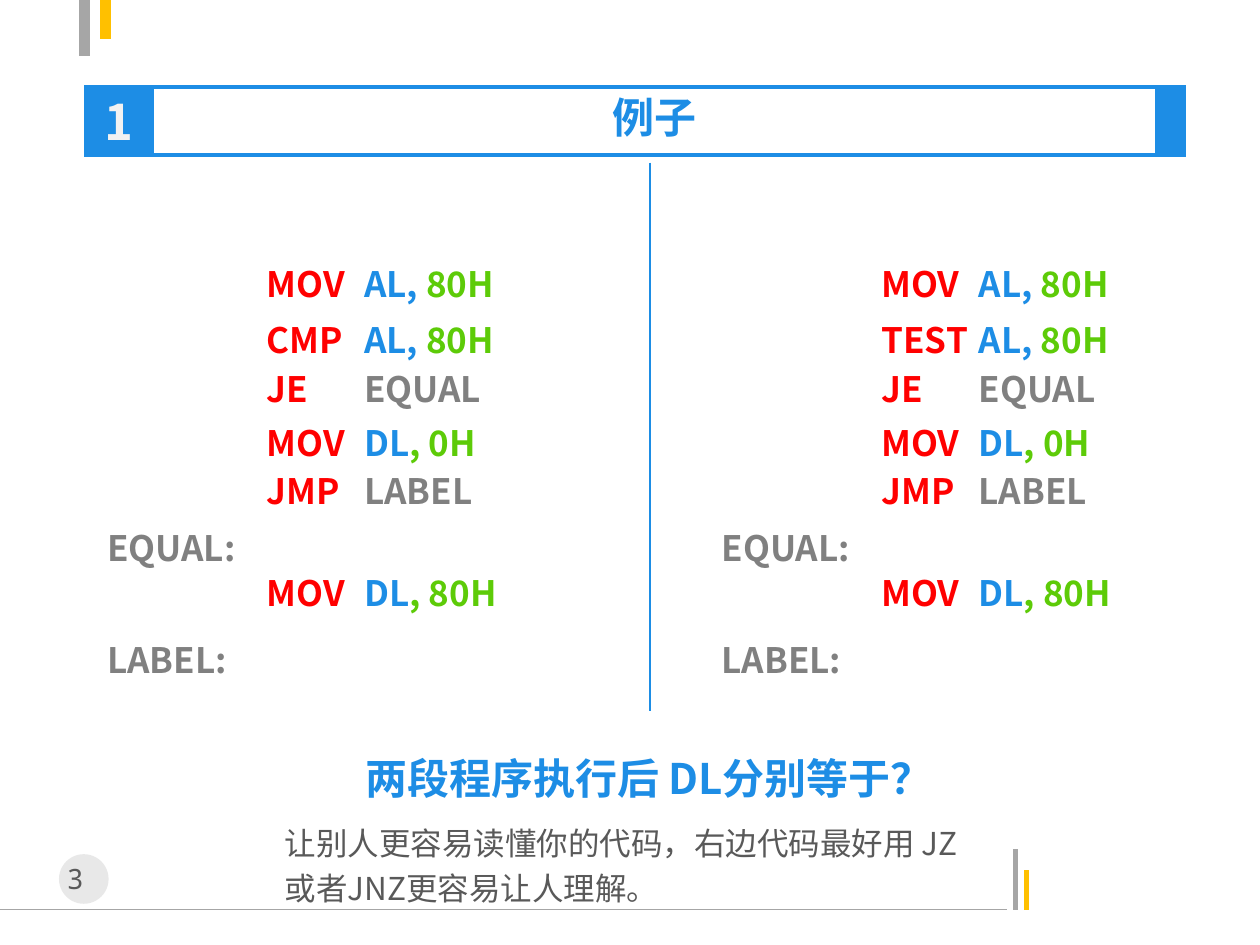
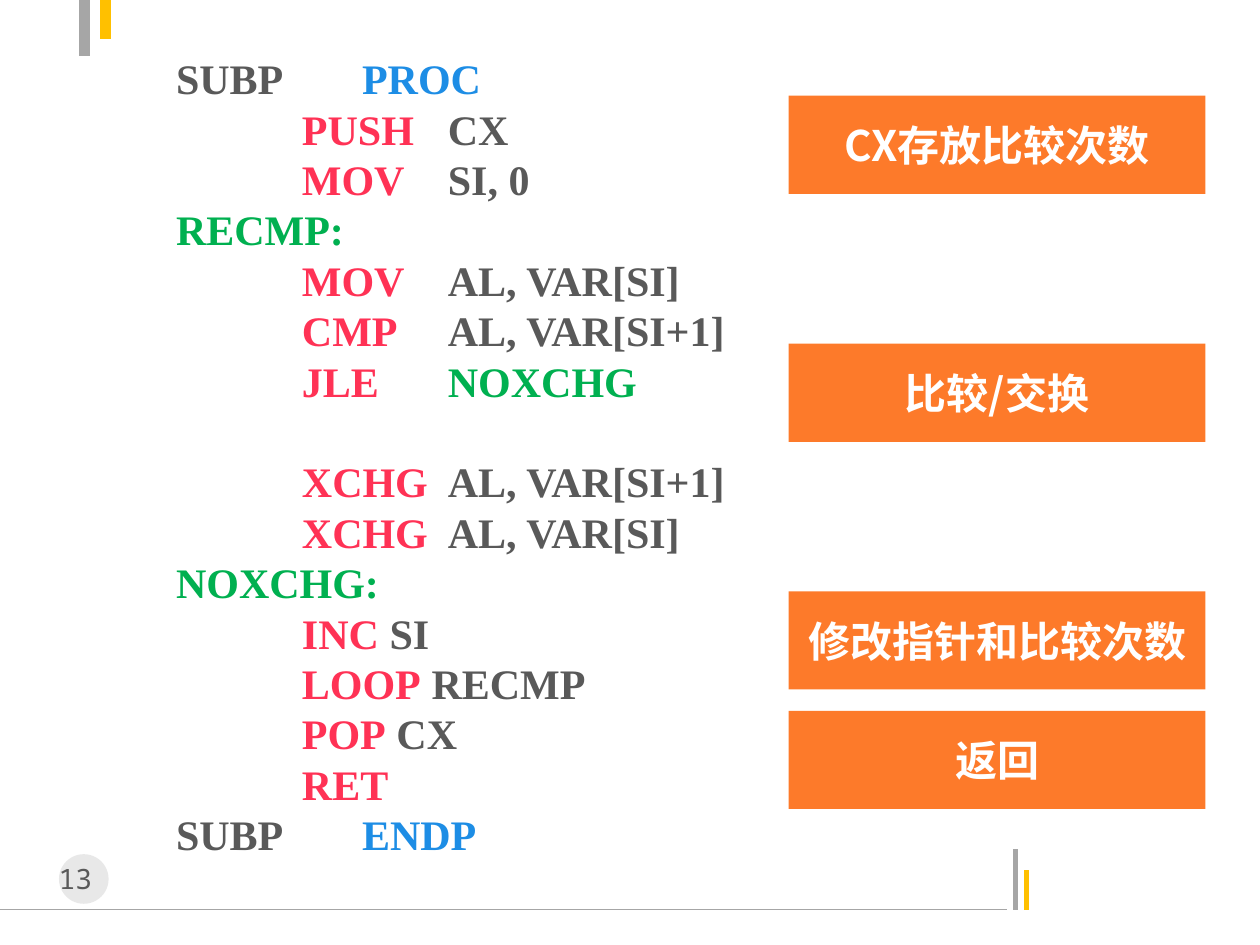
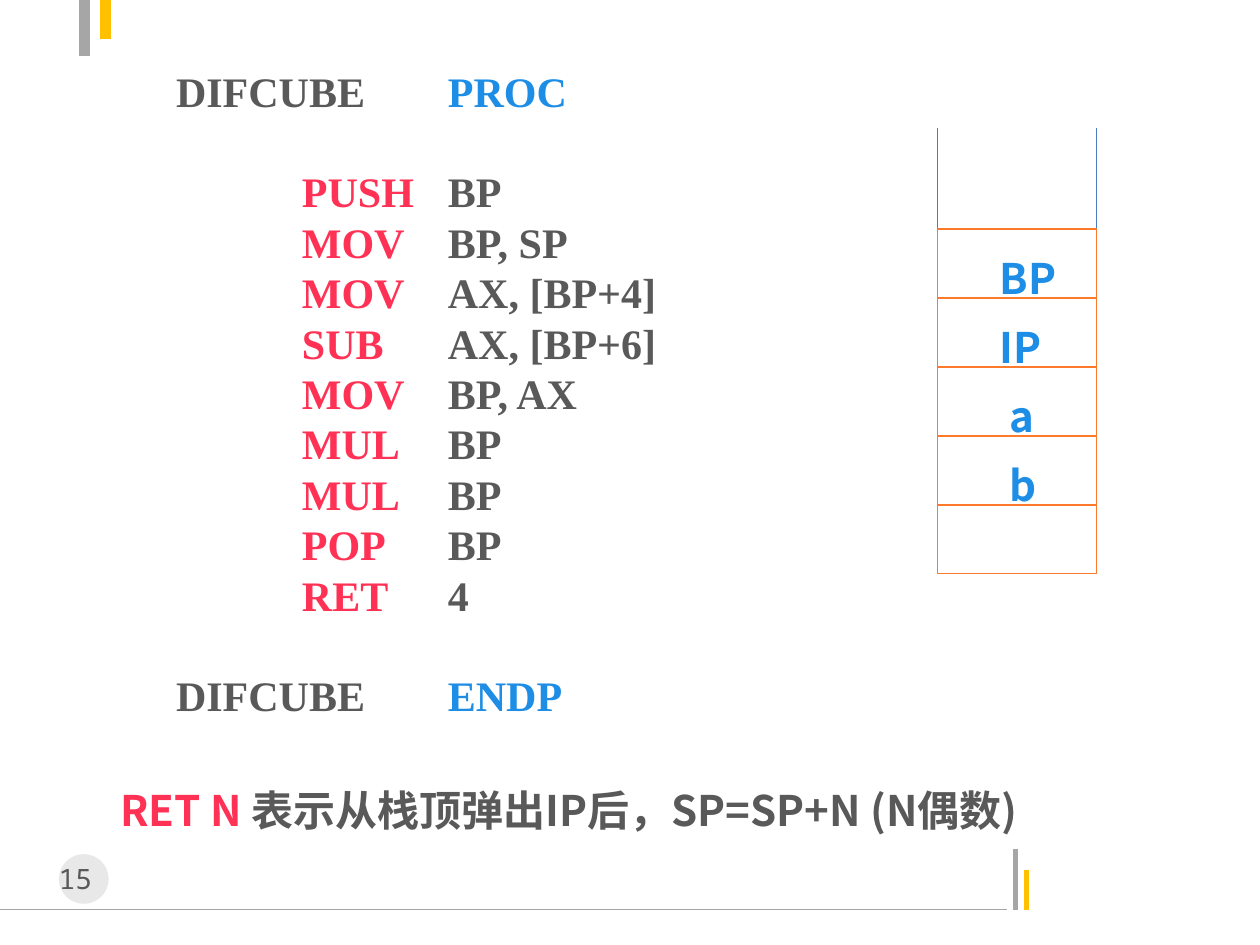
"""Build three assembly-language teaching slides."""
from dataclasses import dataclass

import pptx
import pptx.dml.color
import pptx.enum.shapes
import pptx.enum.text
import pptx.oxml.ns
import pptx.util
from lxml import etree

Cm = pptx.util.Cm
Pt = pptx.util.Pt
qn = pptx.oxml.ns.qn
Align = pptx.enum.text.PP_ALIGN
Anchor = pptx.enum.text.MSO_ANCHOR
Shape = pptx.enum.shapes.MSO_SHAPE


@dataclass(frozen=True)
class Theme:
    blue: str = "1D8DE5"
    orange: str = "FD7A2A"
    yellow: str = "FFC000"
    white: str = "FFFFFF"
    pale: str = "F2F2F2"
    disc: str = "BFBFBF"
    silver: str = "A6A6A6"
    gray: str = "808080"
    ink: str = "595959"
    red: str = "FF0000"
    crimson: str = "FF3255"
    lime: str = "5DCB08"
    green: str = "00B050"
    steel: str = "4B7EBC"
    sans: str = "Noto Sans CJK SC"
    mono: str = "Noto Sans Mono"
    serif: str = "Times New Roman"
    number: int = 28
    heading: int = 24
    listing: int = 20
    note: int = 18
    footer: int = 16
    code_pitch: float = 28.8


THEME = Theme()


def rgb(colour):
    return pptx.dml.color.RGBColor.from_string(colour)


class Slides:
    def __init__(self, theme):
        self.theme = theme
        self.deck = pptx.Presentation()
        self.deck.slide_width = Cm(25.4)
        self.deck.slide_height = Cm(19.05)
        self.page = None

    def new_page(self, number):
        theme = self.theme
        self.page = self.deck.slides.add_slide(self.deck.slide_layouts[6])
        self.line(0, 18.34, 20.3, 18.34, theme.silver, 0.75)
        self.line(20.47, 18.34, 20.47, 17.12, theme.silver, 3)
        self.line(20.7, 18.34, 20.7, 17.53, theme.yellow, 3)
        self.line(1.7, 0, 1.7, 1.12, theme.silver, 6)
        self.line(2.13, 0, 2.13, 0.79, theme.yellow, 6)
        disc = self.shape(1.19, 17.22, 1, 1, theme.disc, kind=Shape.OVAL)
        tint = disc.fill._xPr.find(qn("a:solidFill"))[0]
        etree.SubElement(tint, qn("a:alpha"), val="35000")
        self.text(0.62, 17.25, 1.8, 0.94, [(number, theme.ink)], theme.footer,
                  font=theme.mono, bold=False, align=Align.CENTER)

    def line(self, x1, y1, x2, y2, colour, width):
        rule = self.page.shapes.add_connector(
            pptx.enum.shapes.MSO_CONNECTOR.STRAIGHT, Cm(x1), Cm(y1), Cm(x2), Cm(y2))
        rule.line.color.rgb = rgb(colour)
        rule.line.width = Pt(width)
        etree.SubElement(rule._element.spPr, qn("a:effectLst"))

    def shape(self, left, top, width, height, fill, outline=None, kind=Shape.RECTANGLE):
        shape = self.page.shapes.add_shape(kind, Cm(left), Cm(top), Cm(width), Cm(height))
        shape.shadow.inherit = False
        shape.fill.solid()
        shape.fill.fore_color.rgb = rgb(fill)
        if outline:
            shape.line.color.rgb = rgb(outline)
            shape.line.width = Pt(0.75)
        else:
            shape.line.fill.background()
        return shape

    def label(self, shape, text, colour, size):
        shape.text_frame.word_wrap = True
        shape.text_frame.vertical_anchor = Anchor.MIDDLE
        self.set_para(shape.text_frame.paragraphs[0], [(text, colour)], size,
                      align=Align.CENTER)

    def frame(self, left, top, width, height, anchor=Anchor.TOP):
        box = self.page.shapes.add_textbox(Cm(left), Cm(top), Cm(width), Cm(height))
        box.text_frame.word_wrap = True
        box.text_frame.vertical_anchor = anchor
        return box.text_frame

    def text(self, left, top, width, height, spans, size, anchor=Anchor.TOP, **style):
        frame = self.frame(left, top, width, height, anchor)
        self.set_para(frame.paragraphs[0], spans, size, **style)

    def set_para(self, para, spans, size, font=THEME.sans, bold=True, align=Align.LEFT,
                 spacing=None, tabs=()):
        para.alignment = align
        para.line_spacing = spacing
        if tabs:
            stops = etree.SubElement(para._p.get_or_add_pPr(), qn("a:tabLst"))
            for stop in tabs:
                etree.SubElement(stops, qn("a:tab"), pos=str(Cm(stop)), algn="l")
        base = spans[0][1]
        para.font.name = font
        para.font.size = Pt(size)
        para.font.bold = bold
        para.font.color.rgb = rgb(base)
        etree.SubElement(para._p.pPr.find(qn("a:defRPr")), qn("a:ea"), typeface=font)
        for text, colour in spans:
            span = para.add_run()
            span.text = text
            if colour != base:
                span.font.color.rgb = rgb(colour)

    def code(self, top, height, groups):
        theme = self.theme
        frame = self.frame(3.3, top, 15.27, height)
        para = frame.paragraphs[0]
        for index, group in enumerate(groups):
            for row, spans in enumerate(group):
                if index or row:
                    para = frame.add_paragraph()
                self.set_para(para, spans, theme.heading, font=theme.serif,
                              spacing=Pt(theme.code_pitch), tabs=(3.75, 5.48))
                if index and not row:
                    para.space_before = Pt(theme.code_pitch)


def op(mnemonic, operand="", gap="\t", colour=THEME.ink):
    spans = [(" " * 12 + mnemonic, THEME.crimson)]
    return spans + [(gap + operand, colour)] if operand else spans


def bound(name, directive):
    return [(name + "\t", THEME.ink), (directive, THEME.blue)]


def target(name):
    return [(name, THEME.green)]


def comparison_page(slides):
    theme = slides.theme
    slides.new_page("3")
    slides.line(1.7, 3.12, 23.9, 3.12, theme.blue, 2.25)
    badge = slides.shape(1.7, 1.75, 1.4, 1.37, theme.blue, theme.blue)
    slides.label(badge, "1", theme.pale, theme.number)
    slides.text(3.1, 1.73, 20.17, 1.27, [("例子", theme.blue)], theme.heading,
                align=Align.CENTER)
    slides.shape(23.29, 1.73, 0.61, 1.37, theme.blue, theme.blue)
    slides.line(1.7, 1.75, 23.9, 1.75, theme.blue, 2.25)
    slides.line(13.11, 3.28, 13.11, 14.33, theme.blue, 1)
    for left, check in ((1.91, "CMP"), (14.3, "TEST")):
        instructions = (
            (4.93, "MOV", (("AL, ", theme.blue), ("80H", theme.lime))),
            (6.05, check, (("AL, ", theme.blue), ("80H", theme.lime))),
            (7.04, "JE", (("EQUAL", theme.gray),)),
            (8.13, "MOV", (("DL", theme.blue), (", 0H", theme.lime))),
            (9.09, "JMP", (("LABEL", theme.gray),)),
            (11.15, "MOV", (("DL", theme.blue), (", 80H", theme.lime))),
        )
        for top, mnemonic, operands in instructions:
            slides.text(left + 3.22, top, 6.38, 1.37,
                        [(mnemonic + "\t", theme.red), *operands],
                        theme.listing, spacing=1.29, tabs=(1.96,))
        for top, name in ((10.24, "EQUAL:"), (12.5, "LABEL:")):
            slides.text(left, top, 4.8, 1.37, [(name, theme.gray)], theme.listing,
                        spacing=1.29)
    slides.text(7.11, 14.76, 11.99, 1.57, [("两段程序执行后 DL分别等于？", theme.blue)],
                theme.heading, spacing=1.29)
    advice = "让别人更容易读懂你的代码，右边代码最好用 JZ或者JNZ更容易让人理解。"
    slides.text(5.49, 16.33, 14.22, 2.11, [(advice, theme.ink)], theme.note,
                bold=False, spacing=1.2)


def sorting_page(slides):
    theme = slides.theme
    slides.new_page("13")
    slides.code(0.94, 16.66, (
        (bound("SUBP", "PROC"),
         op("PUSH", "CX"),
         op("MOV", "SI, 0"),
         target("RECMP:"),
         op("MOV", "AL, VAR[SI]"),
         op("CMP", "AL, VAR[SI+1]"),
         op("JLE", "NOXCHG", colour=theme.green)),
        (op("XCHG", "AL, VAR[SI+1]"),
         op("XCHG", "AL, VAR[SI]"),
         target("NOXCHG:"),
         op("INC", "SI", " "),
         op("LOOP", "RECMP", " "),
         op("POP", "CX", " "),
         op("RET"),
         bound("SUBP", "ENDP")),
    ))
    steps = ((1.93, "CX存放比较次数"), (6.93, "比较/交换"),
             (11.92, "修改指针和比较次数"), (14.33, "返回"))
    for top, step in steps:
        card = slides.shape(15.9, top, 8.4, 1.98, theme.orange)
        slides.label(card, step, theme.white, theme.heading)


def stack_page(slides):
    theme = slides.theme
    slides.new_page("15")
    slides.code(1.19, 13.59, (
        (bound("DIFCUBE", "PROC"),),
        (op("PUSH", "BP"),
         op("MOV", "BP, SP"),
         op("MOV", "AX, [BP+4]"),
         op("SUB", "AX, [BP+6]"),
         op("MOV", "BP, AX"),
         op("MUL", "BP"),
         op("MUL", "BP"),
         op("POP", "BP"),
         op("RET", "4")),
        (bound("DIFCUBE", "ENDP"),),
    ))
    left, top, width, pitch = 18.9, 4.62, 3.2, 1.39
    for side in (left, left + width):
        slides.line(side, 2.59, side, 11.53, theme.steel, 0.75)
    for row in range(5):
        slides.shape(left, top + row * pitch, width, pitch, theme.white, theme.orange)
    for row, (name, inset) in enumerate((("BP", 1), ("IP", 1), ("a", 1.2), ("b", 1.2))):
        slides.text(left + inset, top + row * pitch + 0.05, 2, 1.45,
                    [(name, theme.blue)], theme.heading, spacing=1.3)
    slides.text(1.83, 15.34, 19.28, 1.98,
                [("RET N ", theme.crimson),
                 ("表示从栈顶弹出IP后，SP=SP+N (N偶数)", theme.ink)],
                theme.heading, anchor=Anchor.MIDDLE, align=Align.CENTER)


def main():
    slides = Slides(THEME)
    comparison_page(slides)
    sorting_page(slides)
    stack_page(slides)
    slides.deck.save("out.pptx")


if __name__ == "__main__":
    main()
